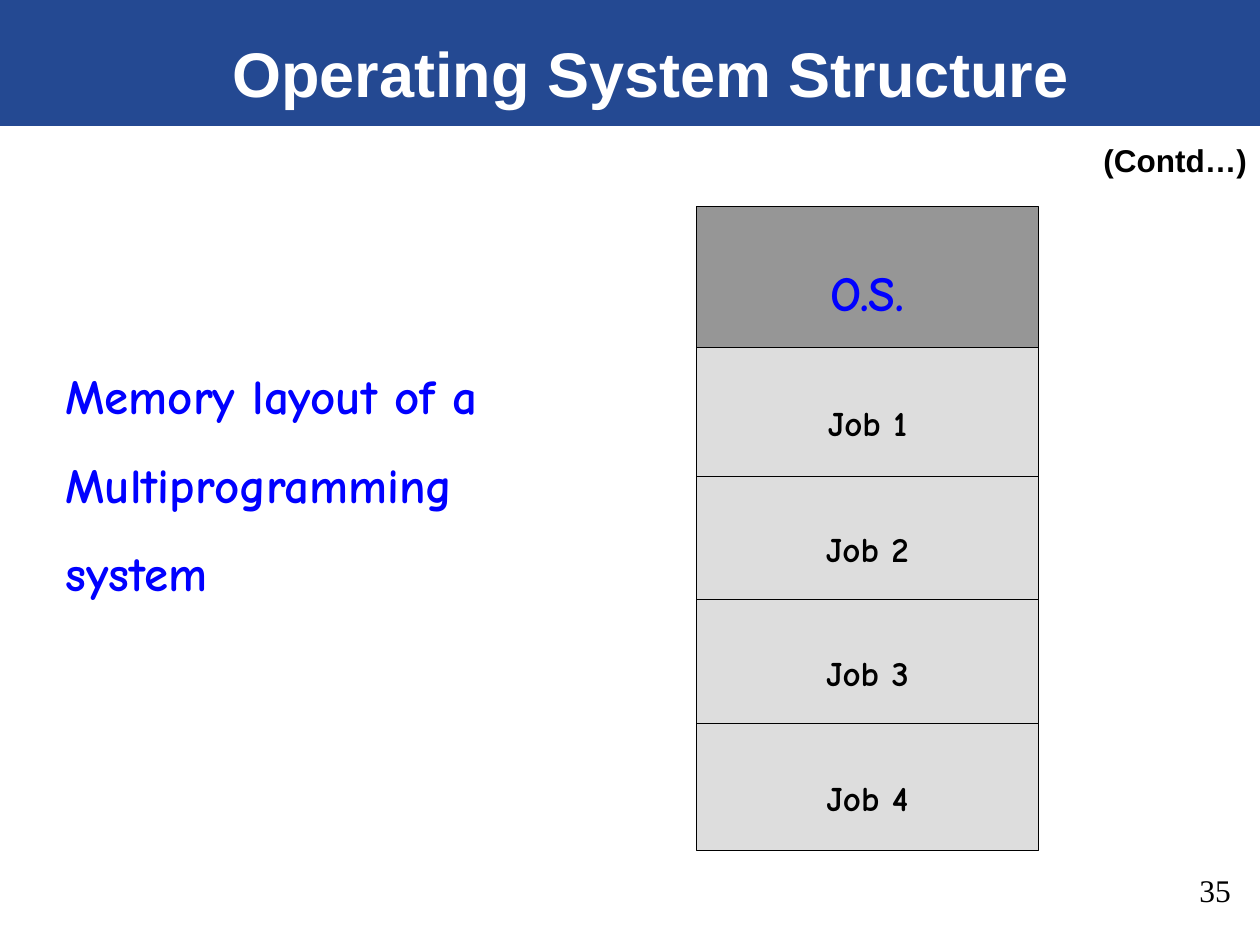
import pptx
import pptx.util
import pptx.dml.color
import pptx.enum.shapes
import pptx.enum.text

Inches = pptx.util.Inches
Pt = pptx.util.Pt
RGBColor = pptx.dml.color.RGBColor
RECTANGLE = pptx.enum.shapes.MSO_SHAPE.RECTANGLE
Align = pptx.enum.text.PP_ALIGN
Anchor = pptx.enum.text.MSO_ANCHOR

BANNER_BLUE = RGBColor(0x24, 0x49, 0x92)
TEXT_BLUE = RGBColor(0x00, 0x00, 0xFF)
SYSTEM_GRAY = RGBColor(0x96, 0x96, 0x96)
JOB_GRAY = RGBColor(0xDD, 0xDD, 0xDD)
BLACK = RGBColor(0x00, 0x00, 0x00)
WHITE = RGBColor(0xFF, 0xFF, 0xFF)

MEMORY_LEFT = 5.53
MEMORY_WIDTH = 2.71
JOB_EDGES = [2.76, 3.78, 4.76, 5.74, 6.75]


def write_text(shape, text, size, color, font="Arial", bold=True, align=Align.LEFT,
               anchor=Anchor.TOP, spacing=None, wrap=True, top_margin=0.05):
    frame = shape.text_frame
    frame.word_wrap = wrap
    frame.vertical_anchor = anchor
    frame.margin_top = Inches(top_margin)
    para = frame.paragraphs[0]
    para.alignment = align
    if spacing:
        para.line_spacing = spacing
    span = para.add_run()
    span.text = text
    span.font.name = font
    span.font.size = Pt(size)
    span.font.bold = bold
    span.font.color.rgb = color


def add_text(page, left, top, width, height, text, **text_format):
    box = page.shapes.add_textbox(Inches(left), Inches(top), Inches(width), Inches(height))
    write_text(box, text, **text_format)


def add_rectangle(page, left, top, width, height, fill, line=None):
    box = page.shapes.add_shape(RECTANGLE, Inches(left), Inches(top),
                                Inches(width), Inches(height))
    box.shadow.inherit = False
    box.fill.solid()
    box.fill.fore_color.rgb = fill
    if line is None:
        box.line.fill.background()
    else:
        box.line.color.rgb = line
        box.line.width = Pt(0.75)
    return box


def add_memory_block(page, top, bottom, label, fill, size, color):
    block = add_rectangle(page, MEMORY_LEFT, top, MEMORY_WIDTH, bottom - top, fill, BLACK)
    write_text(block, label, size=size, color=color, font="Comic Neue",
               align=Align.CENTER, anchor=Anchor.MIDDLE, spacing=1.5, wrap=False)


def main():
    deck = pptx.Presentation()
    deck.slide_width = Inches(10)
    deck.slide_height = Inches(7.5)
    page = deck.slides.add_slide(deck.slide_layouts[6])

    add_rectangle(page, 0, 0, 10, 1, BANNER_BLUE)
    add_text(page, 0.75, 0.25, 8.83, 0.67, "Operating System Structure", size=36,
             color=WHITE, align=Align.CENTER, anchor=Anchor.BOTTOM)
    add_text(page, 8.66, 1.07, 1.34, 0.4, "(Contd…)", size=18, color=BLACK, wrap=False)
    add_text(page, 0.42, 2.62, 4.04, 2.2, "Memory layout of a Multiprogramming system",
             size=28, color=TEXT_BLUE, font="Comic Neue", spacing=1.5)

    add_memory_block(page, 1.64, JOB_EDGES[0], "O.S.", SYSTEM_GRAY, 28, TEXT_BLUE)
    for number, (top, bottom) in enumerate(zip(JOB_EDGES, JOB_EDGES[1:]), start=1):
        add_memory_block(page, top, bottom, f"Job {number}", JOB_GRAY, 20, BLACK)

    add_text(page, 9.42, 6.74, 0.58, 0.8, "35", size=18, color=BLACK,
             font="Times New Roman", bold=False, top_margin=0.17)
    deck.save("out.pptx")


if __name__ == "__main__":
    main()
